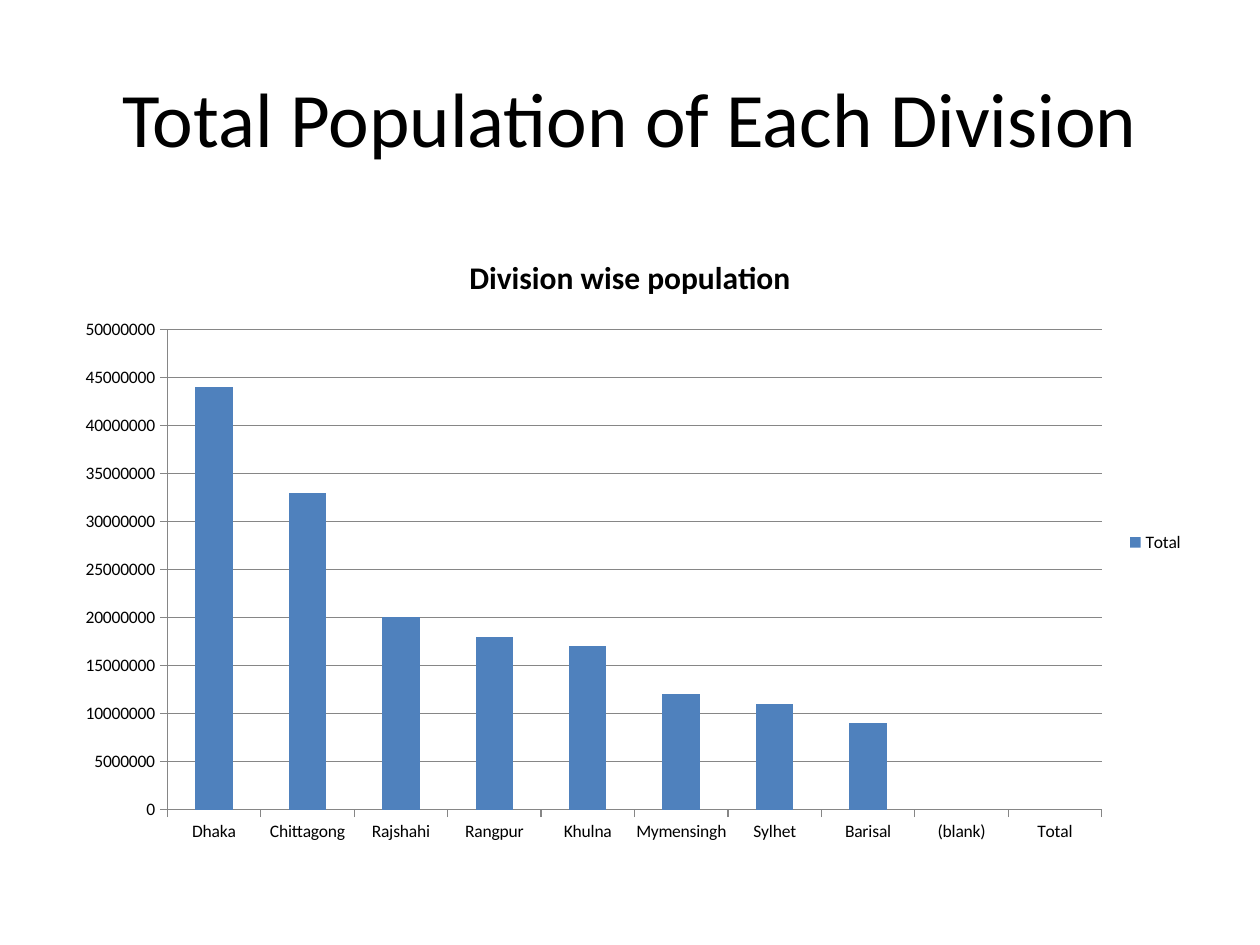
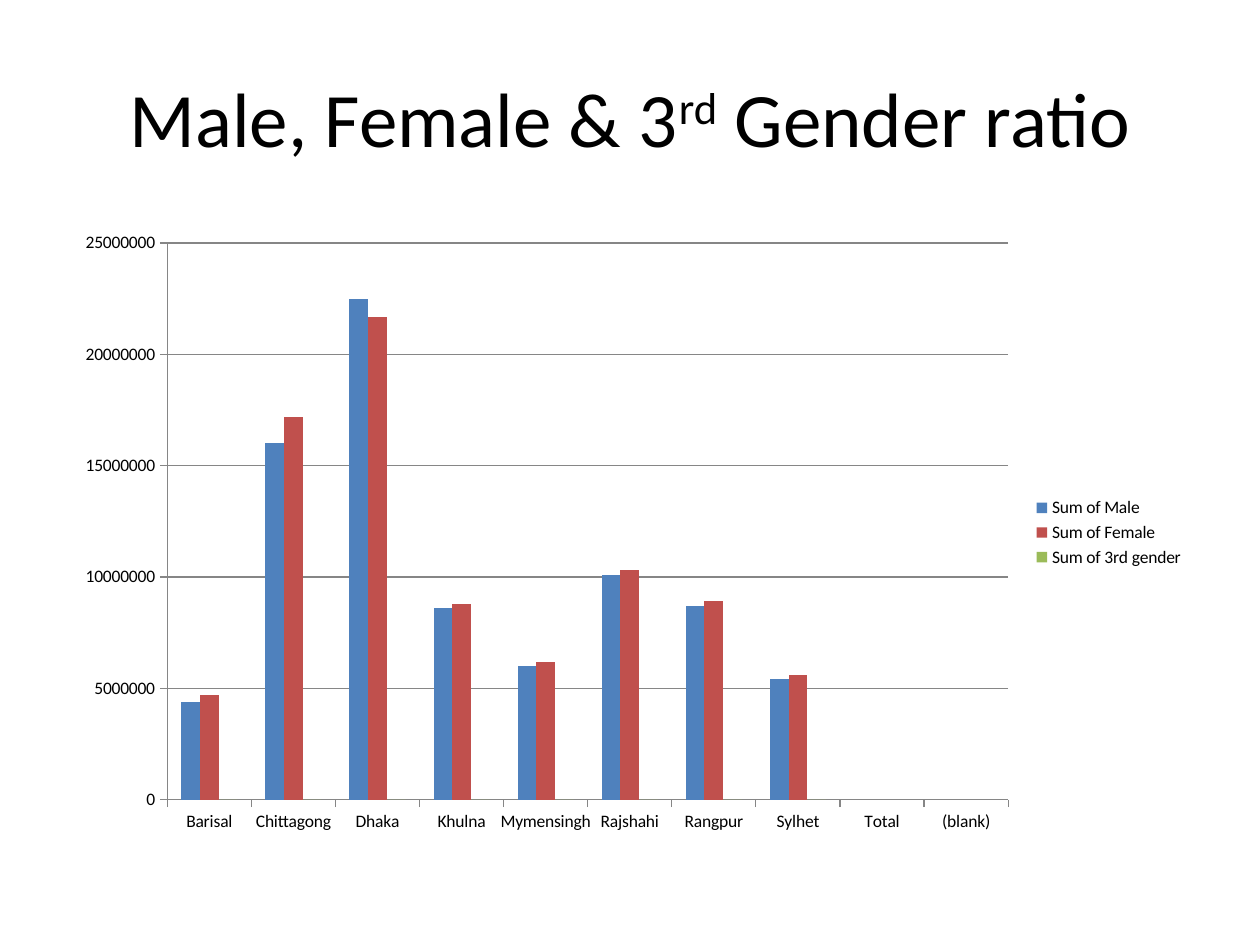
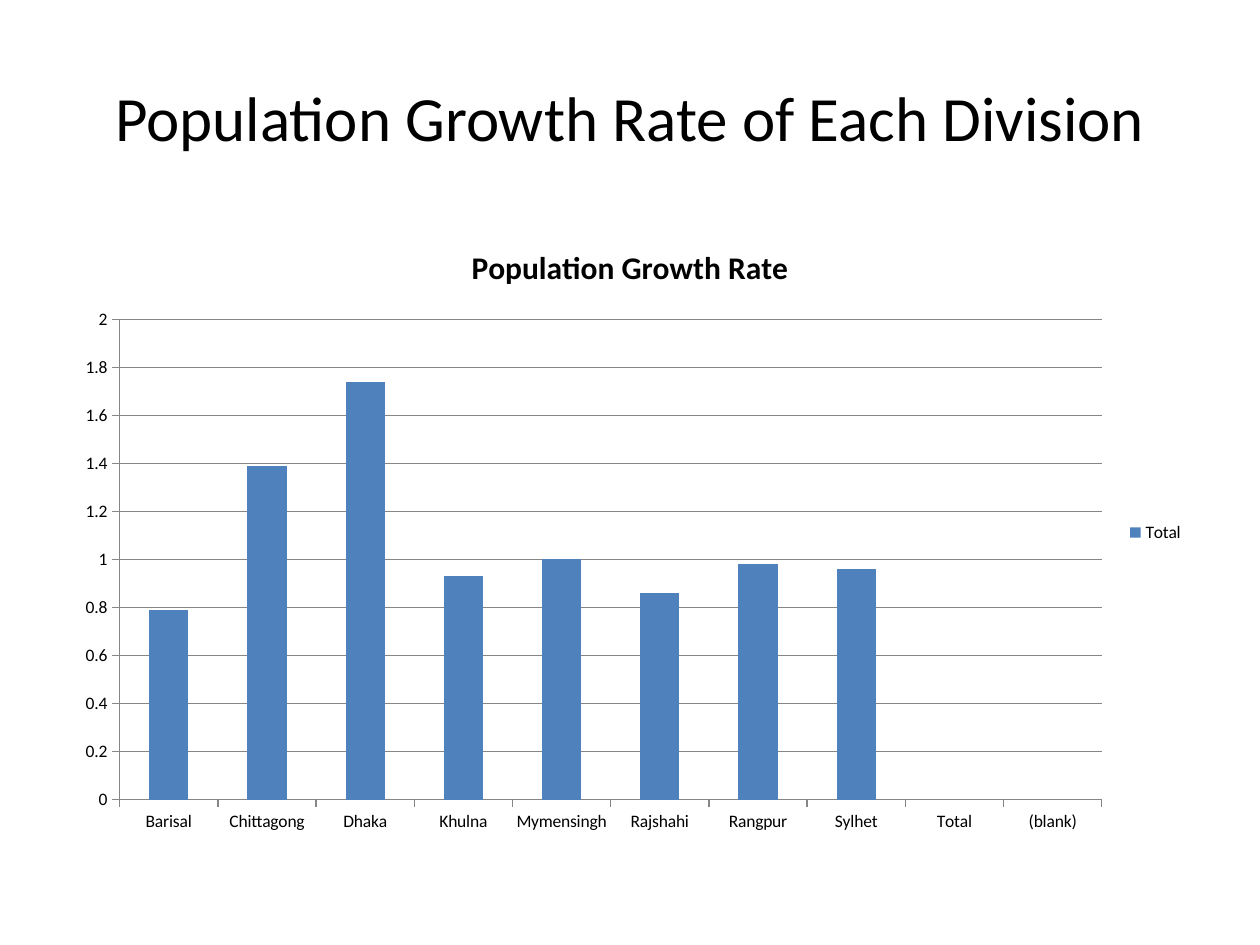
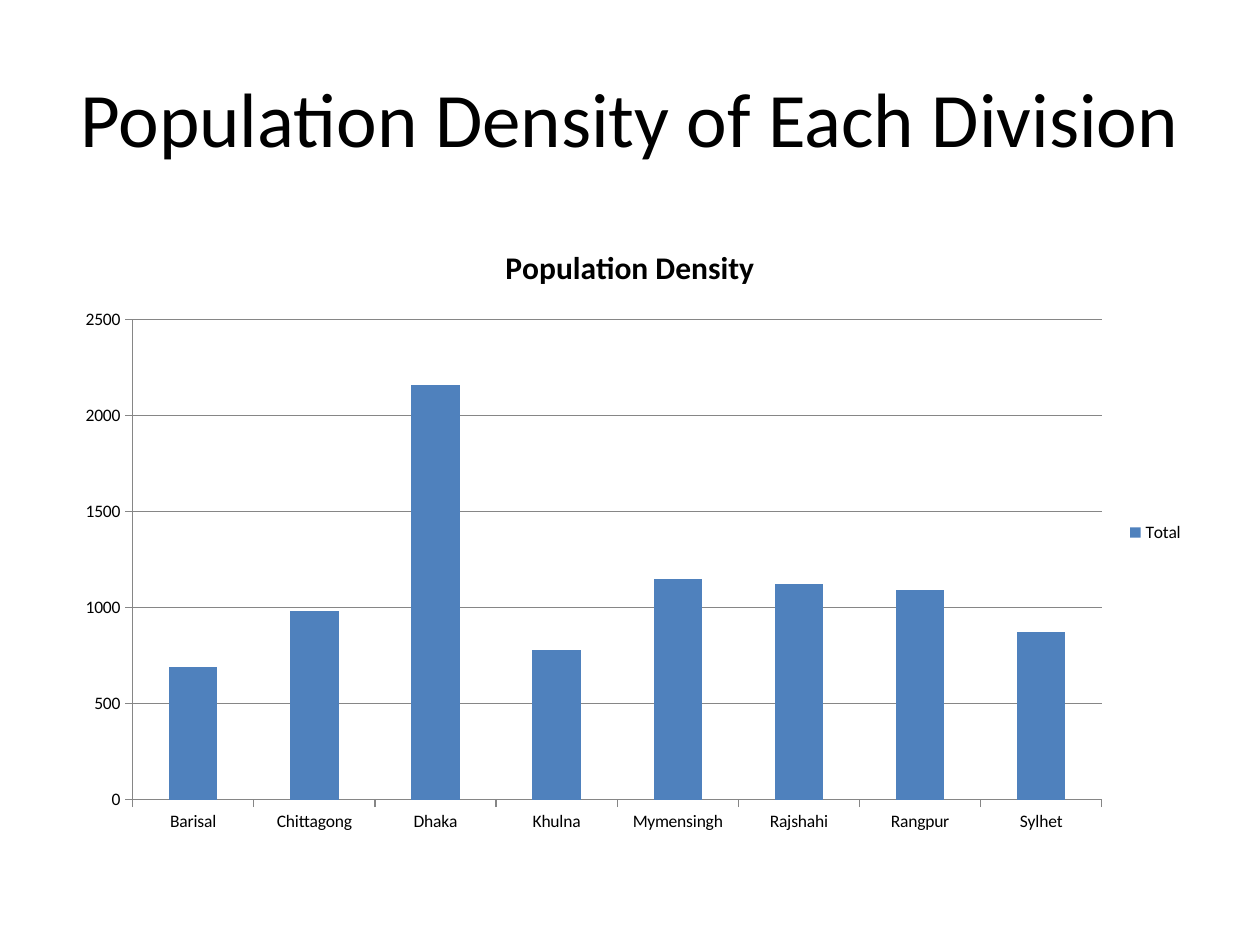
import pptx
import pptx.chart.data
import pptx.dml.color
import pptx.enum.chart
import pptx.enum.text
import pptx.util

Cm = pptx.util.Cm
Pt = pptx.util.Pt
RGBColor = pptx.dml.color.RGBColor

# Shared style
FONT = "Calibri"
BLACK = RGBColor(0x00, 0x00, 0x00)
GREY = RGBColor(0x86, 0x86, 0x86)
BLUE = RGBColor(0x4F, 0x81, 0xBD)
RED = RGBColor(0xC0, 0x50, 0x4D)
GREEN = RGBColor(0x9B, 0xBB, 0x59)
HUES = (BLUE, RED, GREEN)
LEFT, WIDTH = Cm(1.27), Cm(22.86)

# Category lists
AREAS = ["Barisal", "Chittagong", "Dhaka", "Khulna",
         "Mymensingh", "Rajshahi", "Rangpur", "Sylhet"]
ROWS = AREAS + ["Total", "(blank)"]
RANKED = ["Dhaka", "Chittagong", "Rajshahi", "Rangpur", "Khulna",
          "Mymensingh", "Sylhet", "Barisal", "(blank)", "Total"]


def style(font, size, bold=False):
    font.name = FONT
    font.size = Pt(size)
    font.bold = bold
    font.color.rgb = BLACK


def add_page(deck, parts, size=44):
    """Add a titled slide; every second part of the title is superscript."""
    page = deck.slides.add_slide(deck.slide_layouts[5])
    head = page.shapes.title
    head.left, head.top, head.width, head.height = LEFT, Cm(0.76), WIDTH, Cm(3.18)
    frame = head.text_frame
    frame.word_wrap = True
    frame.vertical_anchor = pptx.enum.text.MSO_ANCHOR.MIDDLE
    para = frame.paragraphs[0]
    para.alignment = pptx.enum.text.PP_ALIGN.CENTER
    style(para.font, size)
    for i, part in enumerate(parts):
        run = para.add_run()
        run.text = part
        if i % 2:
            run._r.get_or_add_rPr().set("baseline", "30000")
    return page


def style_axis(axis):
    axis.major_tick_mark = pptx.enum.chart.XL_TICK_MARK.OUTSIDE
    axis.minor_tick_mark = pptx.enum.chart.XL_TICK_MARK.NONE
    axis.format.line.color.rgb = GREY
    axis.format.line.width = Pt(0.75)


def add_bars(page, names, series, title=None, top=4.45):
    """Add a column chart; series maps each name to its values."""
    data = pptx.chart.data.CategoryChartData()
    data.categories = names
    for name, vals in series.items():
        # Categories without a figure stay empty
        data.add_series(name, vals + [None] * (len(names) - len(vals)))
    kind = pptx.enum.chart.XL_CHART_TYPE.COLUMN_CLUSTERED
    chart = page.shapes.add_chart(
        kind, LEFT, Cm(top), WIDTH, Cm(12.57), data).chart
    style(chart.font, 10)

    # Title and legend
    chart.has_title = title is not None
    if title:
        para = chart.chart_title.text_frame.paragraphs[0]
        para.text = title
        style(para.font, 18, True)
    chart.has_legend = True
    chart.legend.position = pptx.enum.chart.XL_LEGEND_POSITION.RIGHT
    chart.legend.include_in_layout = False

    # Axes and grid
    style_axis(chart.category_axis)
    style_axis(chart.value_axis)
    chart.value_axis.has_major_gridlines = True
    grid = chart.value_axis.major_gridlines.format.line
    grid.color.rgb = GREY
    grid.width = Pt(0.75)

    # Columns
    plot = chart.plots[0]
    plot.gap_width = 150
    plot.overlap = 0
    plot.vary_by_categories = False
    for bar, hue in zip(plot.series, HUES):
        bar.invert_if_negative = False
        bar.format.fill.solid()
        bar.format.fill.fore_color.rgb = hue


def main():
    deck = pptx.Presentation()
    deck.slide_width, deck.slide_height = Cm(25.4), Cm(19.05)

    # Total population
    page = add_page(deck, ["Total Population of Each Division"])
    add_bars(page, RANKED, {
        "Total": [44000000, 33000000, 20000000, 18000000,
                  17000000, 12000000, 11000000, 9000000],
    }, "Division wise population", 4.65)

    # Gender
    page = add_page(deck, ["Male, Female & 3", "rd", " Gender ratio"])
    add_bars(page, ROWS, {
        "Sum of Male": [4400000, 16000000, 22500000, 8600000,
                        6000000, 10100000, 8700000, 5400000],
        "Sum of Female": [4700000, 17200000, 21700000, 8800000,
                          6200000, 10300000, 8900000, 5600000],
        "Sum of 3rd gender": [0] * len(AREAS),
    })

    # Growth rate
    page = add_page(deck, ["Population Growth Rate of Each Division"], 36)
    add_bars(page, ROWS, {
        "Total": [0.79, 1.39, 1.74, 0.93, 1, 0.86, 0.98, 0.96],
    }, "Population Growth Rate")

    # Density
    page = add_page(deck, ["Population Density of Each Division"])
    add_bars(page, AREAS, {
        "Total": [690, 980, 2160, 780, 1150, 1120, 1090, 870],
    }, "Population Density")

    deck.save("out.pptx")


if __name__ == "__main__":
    main()
